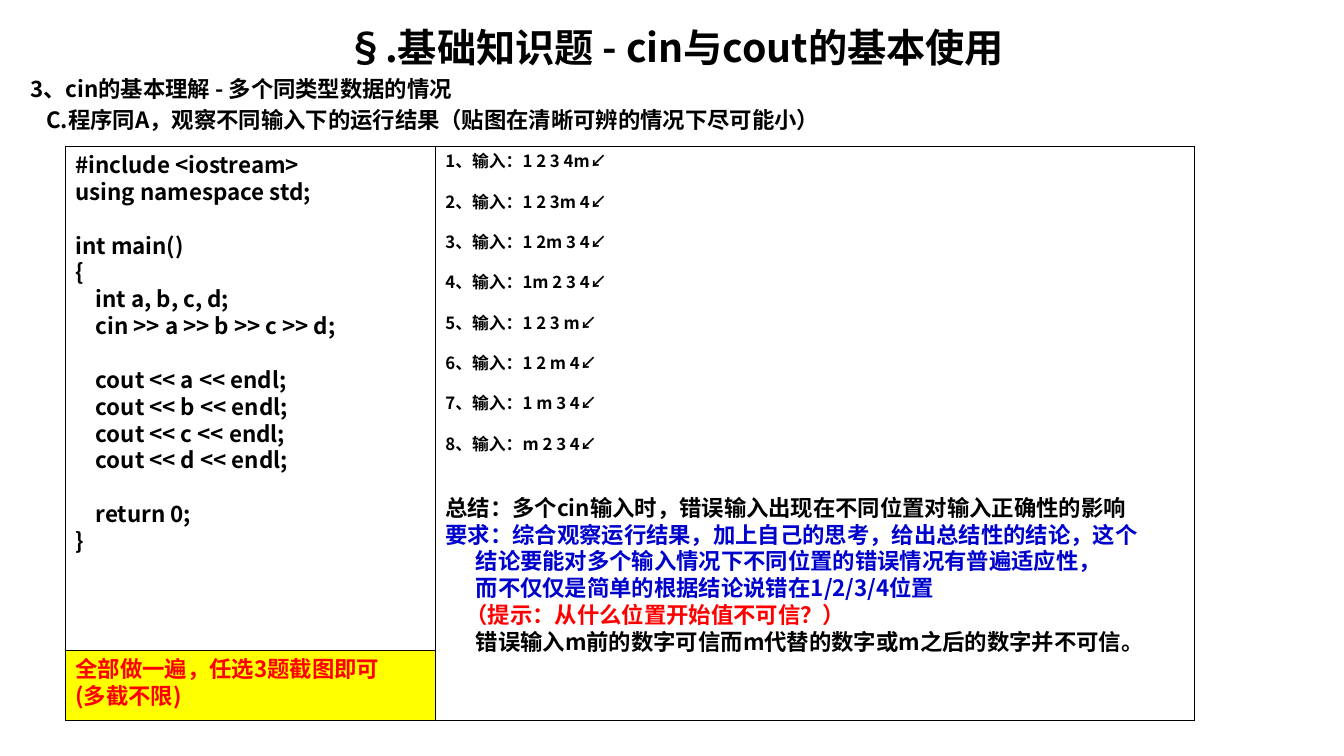
import dataclasses

import pptx
import pptx.dml.color
import pptx.enum.shapes
import pptx.enum.text
import pptx.oxml.ns
import pptx.util
from lxml import etree


@dataclasses.dataclass(frozen=True)
class Theme:
    font: str = "Noto Sans CJK SC"
    black: str = "000000"
    blue: str = "0000CC"
    red: str = "FF0000"
    yellow: str = "FFFF00"
    title: int = 28
    body: int = 16
    small: int = 12
    leading: float = 1.2
    border: float = 0.75


@dataclasses.dataclass
class Line:
    """One paragraph; gap is in lines of its own size, indent in inches."""
    text: str
    size: int
    color: str
    gap: float = 0
    indent: float = 0
    centered: bool = False


class SlideBuilder:
    def __init__(self, deck, theme):
        self.deck, self.theme = deck, theme
        self.slide = deck.slides.add_slide(deck.slide_layouts[6])

    def area(self, left, top, width, height):
        """Turn percentages of the slide into lengths."""
        across, down = self.deck.slide_width, self.deck.slide_height
        return [int(share * full / 100) for share, full in
                zip((left, top, width, height), (across, down, across, down))]

    def panel(self, area, lines=(), fill=None):
        shape = self.slide.shapes.add_shape(
            pptx.enum.shapes.MSO_SHAPE.RECTANGLE, *self.area(*area))
        shape.shadow.inherit = False
        if fill:
            shape.fill.solid()
            shape.fill.fore_color.rgb = pptx.dml.color.RGBColor.from_string(fill)
        else:
            shape.fill.background()
        shape.line.color.rgb = pptx.dml.color.RGBColor.from_string(self.theme.black)
        shape.line.width = pptx.util.Pt(self.theme.border)
        self.set_lines(shape.text_frame, lines)

    def heading(self, area, lines):
        self.set_lines(self.slide.shapes.add_textbox(*self.area(*area)).text_frame, lines)

    def set_lines(self, frame, lines):
        frame.word_wrap = True
        frame.vertical_anchor = pptx.enum.text.MSO_ANCHOR.TOP
        align = pptx.enum.text.PP_ALIGN
        for number, line in enumerate(lines):
            paragraph = frame.paragraphs[0] if number == 0 else frame.add_paragraph()
            pitch = line.size * self.theme.leading
            layout = {
                "alignment": align.CENTER if line.centered else align.LEFT,
                "line_spacing": pptx.util.Pt(pitch),
                "space_before": pptx.util.Pt(pitch * line.gap),
            }
            for name, value in layout.items():
                setattr(paragraph, name, value)
            if line.indent:
                paragraph._p.get_or_add_pPr().set(
                    "marL", str(pptx.util.Inches(line.indent)))
            run = paragraph.add_run()
            run.text = line.text
            style = {"name": self.theme.font, "size": pptx.util.Pt(line.size), "bold": True}
            for name, value in style.items():
                setattr(run.font, name, value)
            run.font.color.rgb = pptx.dml.color.RGBColor.from_string(line.color)
            east_asian = etree.SubElement(
                run._r.get_or_add_rPr(), pptx.oxml.ns.qn("a:ea"))
            east_asian.set("typeface", self.theme.font)


CODE = """#include <iostream>
using namespace std;

int main()
{
    int a, b, c, d;
    cin >> a >> b >> c >> d;

    cout << a << endl;
    cout << b << endl;
    cout << c << endl;
    cout << d << endl;

    return 0;
}"""

INPUTS = ["1 2 3 4m", "1 2 3m 4", "1 2m 3 4", "1m 2 3 4",
          "1 2 3 m", "1 2 m 4", "1 m 3 4", "m 2 3 4"]


def code_lines(theme):
    """Each empty line of code becomes space above the next one."""
    rows = CODE.split("\n")
    return [Line(row, theme.body, theme.black, int(number > 0 and not rows[number - 1]))
            for number, row in enumerate(rows) if row]


def answer_lines(theme):
    inputs = [Line(f"{number}、输入：{typed}↙", theme.small, theme.black, int(number > 1))
              for number, typed in enumerate(INPUTS, 1)]
    summary = [
        ("总结：多个cin输入时，错误输入出现在不同位置对输入正确性的影响", theme.black, 1.5, 0),
        ("要求：综合观察运行结果，加上自己的思考，给出总结性的结论，这个", theme.blue, 0, 0),
        ("结论要能对多个输入情况下不同位置的错误情况有普遍适应性，", theme.blue, 0, 0.3),
        ("而不仅仅是简单的根据结论说错在1/2/3/4位置", theme.blue, 0, 0.3),
        ("（提示：从什么位置开始值不可信？）", theme.red, 0, 0.2),
        ("错误输入m前的数字可信而m代替的数字或m之后的数字并不可信。", theme.black, 0, 0.3),
    ]
    return inputs + [Line(text, theme.body, color, gap, indent)
                     for text, color, gap, indent in summary]


def main():
    theme = Theme()
    deck = pptx.Presentation()
    deck.slide_width, deck.slide_height = pptx.util.Inches(13.33), pptx.util.Inches(7.5)
    page = SlideBuilder(deck, theme)

    left, top, height = 4.88, 19.33, 76
    code_width, answer_width = 27.53, 56.5
    note_height = 9.3

    page.panel((left, top, code_width + answer_width, height))
    page.heading((1.5, 2.4, 97.45, 16), [
        Line("§.基础知识题 - cin与cout的基本使用", theme.title, theme.black, centered=True),
        Line("3、cin的基本理解 - 多个同类型数据的情况", theme.body, theme.black, 0.17),
        Line("C.程序同A，观察不同输入下的运行结果（贴图在清晰可辨的情况下尽可能小）",
             theme.body, theme.black, 0.17, 0.16),
    ])
    page.panel((left, top, code_width, height), code_lines(theme))
    page.panel((left + code_width, top, answer_width, height), answer_lines(theme))
    page.panel((left, top + height - note_height, code_width, note_height), [
        Line(text, theme.body, theme.red)
        for text in ("全部做一遍，任选3题截图即可", "(多截不限)")
    ], theme.yellow)

    deck.save("out.pptx")


if __name__ == "__main__":
    main()
